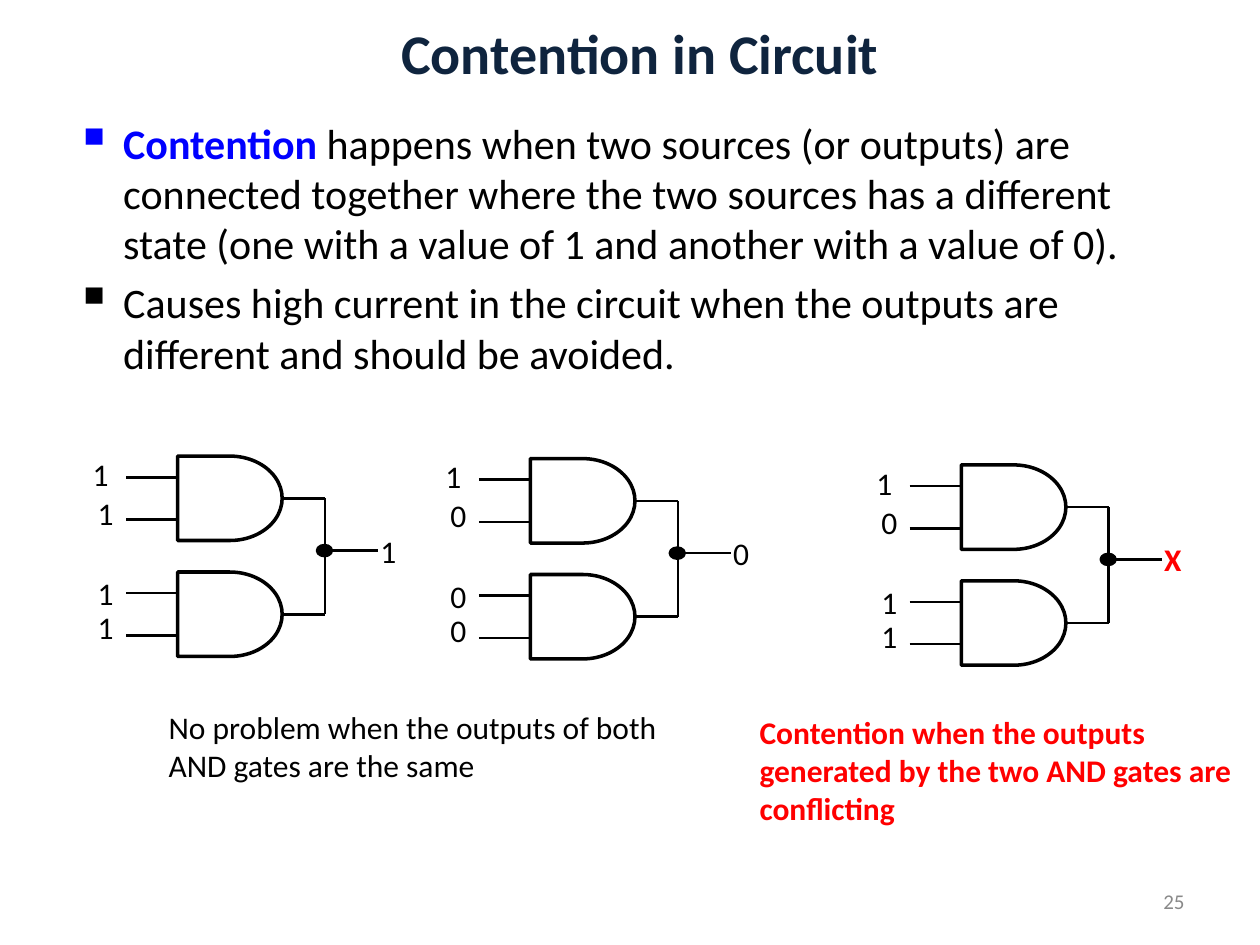
import dataclasses

import pptx
import pptx.dml.color
import pptx.enum.shapes
import pptx.enum.text
import pptx.oxml.ns
import pptx.util
from lxml import etree

Inches = pptx.util.Inches
Pt = pptx.util.Pt
Shape = pptx.enum.shapes.MSO_SHAPE
Align = pptx.enum.text.PP_ALIGN
Anchor = pptx.enum.text.MSO_ANCHOR
qn = pptx.oxml.ns.qn


@dataclasses.dataclass
class Theme:
    font: str = "Calibri"
    ink: str = "000000"
    navy: str = "0F243E"
    blue: str = "0000FF"
    red: str = "FF0000"
    gray: str = "898989"
    title: int = 32
    body: int = 24
    label: int = 18
    small: int = 12
    wire: float = 1.5
    edge: float = 2


def color(code):
    return pptx.dml.color.RGBColor.from_string(code)


def write(para, text, *, font, size, ink, bold=False):
    run = para.add_run()
    run.text = text
    run.font.name = font
    run.font.size = Pt(size)
    run.font.bold = bold
    run.font.color.rgb = color(ink)


def mark(para, sign, indent):
    """Give a paragraph a bullet with a hanging indent."""
    props = para._p.get_or_add_pPr()
    props.set("marL", str(indent))
    props.set("indent", str(-indent))
    etree.SubElement(props, qn("a:buSzPct")).set("val", "120000")
    etree.SubElement(props, qn("a:buChar")).set("char", sign)


class Page:
    def __init__(self, slide, theme):
        self.theme = theme
        self.slide = slide
        self.shapes = slide.shapes

    def text(self, box, paras, size, ink=None, bold=False, align=Align.LEFT,
             anchor=Anchor.TOP, bullet=None):
        """Each paragraph is a list of (text, format) runs."""
        frame = self.shapes.add_textbox(*map(Inches, box)).text_frame
        frame.word_wrap = True
        frame.vertical_anchor = anchor
        base = dict(font=self.theme.font, size=size,
                    ink=ink or self.theme.ink, bold=bold)
        for i, runs in enumerate(paras):
            para = frame.add_paragraph() if i else frame.paragraphs[0]
            para.alignment = align
            if i:
                para.space_before = Pt(size * 0.2)
            if bullet:
                mark(para, bullet, Inches(0.38))
            for words, extra in runs:
                write(para, words, **{**base, **extra})

    def line(self, words, box, size, **style):
        self.text(box, [[(words, {})]], size, **style)

    def shape(self, kind, box, fill=None):
        item = self.shapes.add_shape(kind, *map(Inches, box))
        item.shadow.inherit = False
        if fill:
            item.fill.solid()
            item.fill.fore_color.rgb = color(fill)
        else:
            item.fill.background()
        item.line.color.rgb = color(self.theme.ink)
        item.line.width = Pt(self.theme.edge)
        return item

    def wire(self, x1, y1, x2, y2, start=None):
        """Draw a line; start is the shape whose right side it leaves."""
        item = self.shapes.add_connector(
            pptx.enum.shapes.MSO_CONNECTOR.STRAIGHT,
            Inches(x1), Inches(y1), Inches(x2), Inches(y2))
        if start is not None:
            item.begin_connect(start, 3)
        item.line.color.rgb = color(self.theme.ink)
        item.line.width = Pt(self.theme.wire)
        etree.SubElement(item._element.spPr, qn("a:effectLst"))

    def circuit(self, x, y, inputs, output, **style):
        """Two AND gates with joined outputs; x, y is the first gate's top
        and the left end of its input wires."""
        self.shapes = self.slide.shapes.add_group_shape().shapes
        size = self.theme.label
        wide, high, step = 0.83, 0.67, 0.92
        left, join, node = x + 0.41, x + 1.58, y + 0.75
        for top in (y, y + step):
            gate = self.shape(Shape.FLOWCHART_DELAY, (left, top, wide, high))
            for part in (0.25, 0.75):
                level = top + high * part
                self.wire(x, level, left, level)
            mid = top + high / 2
            self.wire(left + wide, mid, join, mid, gate)
            self.wire(join, mid, join, node)
        self.wire(join, node, x + 2, node)
        self.shape(Shape.OVAL, (join - 0.06, node - 0.04, 0.11, 0.08),
                   self.theme.ink)
        spots = (-0.46, -0.06), (-0.42, 0.25), (-0.42, 0.89), (-0.42, 1.16)
        for digit, (dx, dy) in zip(inputs, spots):
            self.line(digit, (x + dx, y + dy, 0.42, 0.4), size,
                      align=Align.RIGHT)
        self.line(output, (x + 1.92, y + 0.55, 0.4, 0.4), size, **style)
        self.shapes = self.slide.shapes


def main():
    deck = pptx.Presentation()
    deck.slide_width, deck.slide_height = Inches(10), Inches(7.5)
    theme = Theme()
    page = Page(deck.slides.add_slide(deck.slide_layouts[6]), theme)
    alert = dict(ink=theme.red, bold=True)

    page.line("25", (7.17, 6.95, 2.33, 0.4), theme.small, ink=theme.gray,
              align=Align.RIGHT, anchor=Anchor.MIDDLE)
    page.line("Contention in Circuit", (0.83, 0, 8.5, 0.83), theme.title,
              ink=theme.navy, bold=True, align=Align.CENTER,
              anchor=Anchor.MIDDLE)
    page.text((0.5, 0.88, 8.5, 1.58), [
        [("Contention ", dict(ink=theme.blue, bold=True)),
         ("happens when two sources (or outputs) are connected together "
          "where the two sources has a different state (one with a value "
          "of 1 and another with a value of 0).", {})],
        [("Causes high current in the circuit when the outputs are "
          "different and should be avoided.", {})],
    ], theme.body, bullet="▪")

    page.circuit(1, 3.62, "1111", "1")
    page.circuit(3.8, 3.64, "1000", "0")
    page.circuit(7.22, 3.69, "1011", "X", **alert)

    page.line("Contention when the outputs generated by the two AND gates "
              "are conflicting", (5.93, 5.61, 3.99, 1.01), theme.label,
              **alert)
    page.line("No problem when the outputs of both AND gates are the same",
              (1.24, 5.57, 4.52, 0.71), theme.label)
    deck.save("out.pptx")


if __name__ == "__main__":
    main()
